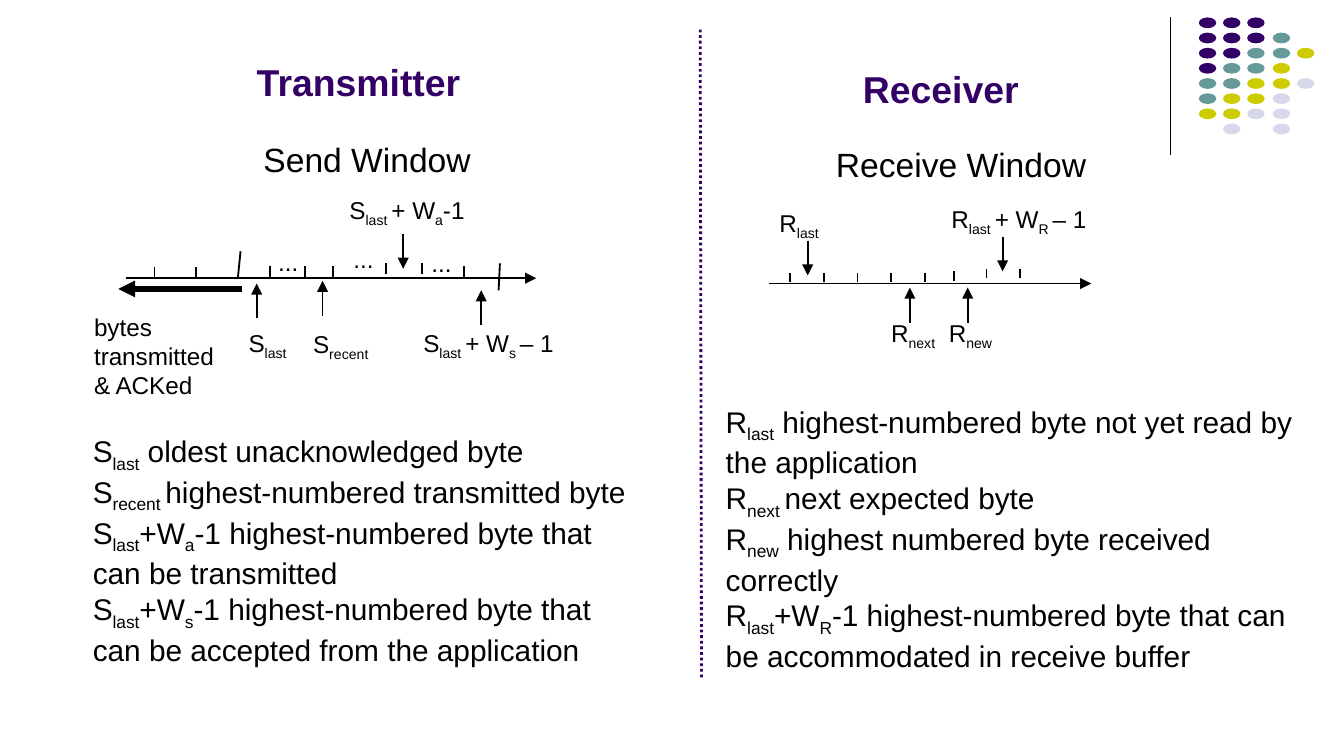
from typing import NamedTuple, Optional

from pptx import Presentation
from pptx.dml.color import RGBColor
from pptx.enum.dml import MSO_LINE
from pptx.enum.shapes import MSO_CONNECTOR, MSO_SHAPE
from pptx.enum.text import MSO_AUTO_SIZE
from pptx.oxml.ns import qn
from pptx.oxml.xmlchemy import OxmlElement
from pptx.slide import Slide
from pptx.util import Inches, Pt

SLIDE_WIDTH = 10
SLIDE_HEIGHT = SLIDE_WIDTH * 9 / 16
BLACK = "000000"
PURPLE = "330066"
DOT_COLORS = {"P": PURPLE, "T": "669999", "Y": "CCCC00", "L": "D8D8EC"}
DOT_ROWS = ["PPP", "PPPT", "PPTTY", "PTTY", "TTYYL", "TYYL", "YYLL", " L L"]
DOT_LEFTS = [8.92, 9.1, 9.28, 9.47, 9.65]
DOT_TOP, LAST_DOT_TOP = 0.13, 0.92


class Line(NamedTuple):
    x1: float
    y1: float
    x2: float
    y2: float
    width: float = 1
    color: str = BLACK
    arrow: bool = False
    dash: Optional[MSO_LINE] = None


class Label(NamedTuple):
    """Text whose subscripts stand between vertical bars, a paragraph per line."""
    left: float
    top: float
    width: float
    height: float
    text: str
    size: float = 13
    color: str = BLACK
    bold: bool = False
    wrap: bool = False


class Mark(NamedTuple):
    x: float
    top: float


FRAME_LINES = [
    Line(8.71, 0.13, 8.71, 1.15, width=0.75),
    Line(5.21, 0.22, 5.22, 5.04, 1.5, PURPLE, dash=MSO_LINE.ROUND_DOT),
]
AXES = [
    Line(0.94, 2.07, 3.99, 2.07, arrow=True),
    Line(5.72, 2.11, 8.12, 2.11, arrow=True),
    Line(1.8, 2.15, 0.88, 2.15, width=3, arrow=True),
]
WINDOW_EDGES = [Line(1.79, 1.87, 1.77, 2.07), Line(3.72, 1.96, 3.71, 2.16)]

SEND_TICKS = [
    Mark(1.15, 1.99), Mark(1.46, 1.99), Mark(2.01, 1.98), Mark(2.27, 1.98),
    Mark(2.48, 1.98), Mark(2.87, 1.96), Mark(3.14, 1.96), Mark(3.45, 1.98),
]
RECEIVE_TICKS = [Mark(5.88 + 0.25 * step, 2.03) for step in range(5)] + [
    Mark(7.1, 2.02), Mark(7.34, 2), Mark(7.59, 2),
]
POINTER_LENGTH = 0.26
UP_POINTERS = [Mark(1.91, 2.11), Mark(2.4, 2.09), Mark(3.58, 2.16),
               Mark(6.77, 2.14), Mark(7.2, 2.14)]
DOWN_POINTERS = [Mark(3, 1.74), Mark(6.01, 1.79), Mark(7.46, 1.76)]

SEND_NOTES = """S|last| oldest unacknowledged byte
S|recent |highest-numbered transmitted byte
S|last|+W|a|-1 highest-numbered byte that can be transmitted
S|last|+W|s|-1 highest-numbered byte that can be accepted from the application"""
RECEIVE_NOTES = """R|last| highest-numbered byte not yet read by the application
R|next |next expected byte
R|new| highest numbered byte received correctly
R|last|+W|R|-1 highest-numbered byte that can be accommodated in receive buffer"""

LABELS = [
    Label(1.84, 0.4, 1.68, 0.41, "Transmitter", 20, PURPLE, bold=True),
    Label(1.89, 0.99, 1.69, 0.37, "Send Window", 18),
    Label(2.53, 1.41, 1.01, 0.32, "S|last |+ W|a|-1"),
    Label(2, 1.8, 0.3, 0.29, "..."),
    Label(2.56, 1.78, 0.3, 0.29, "..."),
    Label(3.14, 1.81, 0.3, 0.29, "..."),
    Label(1.78, 2.4, 0.43, 0.32, "S|last"),
    Label(2.26, 2.41, 0.56, 0.32, "S|recent"),
    Label(3.08, 2.4, 1.17, 0.32, "S|last |+ W|s |– 1"),
    Label(0.63, 2.28, 1.23, 0.72, "bytes\ntransmitted\n& ACKed", wrap=True),
    Label(0.62, 3.18, 4.25, 1.82, SEND_NOTES, 16, wrap=True),
    Label(6.35, 0.45, 1.31, 0.41, "Receiver", 20, PURPLE, bold=True),
    Label(6.15, 1.03, 2.01, 0.37, "Receive Window", 18),
    Label(5.73, 1.51, 0.44, 0.32, "R|last"),
    Label(7.01, 1.48, 1.2, 0.32, "R|last |+ W|R |– 1"),
    Label(6.56, 2.33, 0.48, 0.32, "R|next"),
    Label(6.99, 2.33, 0.47, 0.32, "R|new"),
    Label(5.33, 2.96, 4.46, 2.09, RECEIVE_NOTES, 16, wrap=True),
]


def rgb(color: str) -> RGBColor:
    return RGBColor.from_string(color)


def draw_line(page: Slide, line: Line) -> None:
    connector = page.shapes.add_connector(
        MSO_CONNECTOR.STRAIGHT, Inches(line.x1), Inches(line.y1),
        Inches(line.x2), Inches(line.y2))
    connector.line.color.rgb = rgb(line.color)
    connector.line.width = Pt(line.width)
    if line.dash is not None:
        connector.line.dash_style = line.dash
    properties = connector.element.spPr
    if line.arrow:
        arrowhead = OxmlElement("a:tailEnd")
        arrowhead.set("type", "triangle")
        properties.find(qn("a:ln")).append(arrowhead)
    properties.append(OxmlElement("a:effectLst"))


def draw_label(page: Slide, label: Label) -> None:
    box = page.shapes.add_textbox(Inches(label.left), Inches(label.top),
                                  Inches(label.width), Inches(label.height))
    frame = box.text_frame
    frame.word_wrap = label.wrap
    frame.auto_size = MSO_AUTO_SIZE.SHAPE_TO_FIT_TEXT
    frame.margin_left = frame.margin_right = Inches(0.07)
    frame.margin_top = frame.margin_bottom = Inches(0.04)
    for row, text in enumerate(label.text.split("\n")):
        para = frame.add_paragraph() if row else frame.paragraphs[0]
        for part, words in enumerate(text.split("|")):
            span = para.add_run()
            span.text = words
            span.font.name = "Arial"
            span.font.size = Pt(label.size)
            span.font.bold = label.bold
            span.font.color.rgb = rgb(label.color)
            if part % 2:
                span._r.get_or_add_rPr().set("baseline", "-25000")


def draw_dots(page: Slide) -> None:
    row_step = (LAST_DOT_TOP - DOT_TOP) / (len(DOT_ROWS) - 1)
    for row, codes in enumerate(DOT_ROWS):
        for left, code in zip(DOT_LEFTS, codes):
            if code == " ":
                continue
            dot = page.shapes.add_shape(
                MSO_SHAPE.OVAL, Inches(left), Inches(DOT_TOP + row_step * row),
                Inches(0.13), Inches(0.08))
            dot.shadow.inherit = False
            dot.fill.solid()
            dot.fill.fore_color.rgb = rgb(DOT_COLORS[code])
            dot.line.fill.background()


def main() -> None:
    deck = Presentation()
    deck.slide_width = Inches(SLIDE_WIDTH)
    deck.slide_height = Inches(SLIDE_HEIGHT)
    page = deck.slides.add_slide(deck.slide_layouts[6])

    draw_dots(page)
    for line in FRAME_LINES + AXES + WINDOW_EDGES:
        draw_line(page, line)
    for ticks, height in ((SEND_TICKS, 0.08), (RECEIVE_TICKS, 0.07)):
        for x, top in ticks:
            draw_line(page, Line(x, top, x, top + height))
    for x, top in UP_POINTERS:
        draw_line(page, Line(x, top + POINTER_LENGTH, x, top, arrow=True))
    for x, top in DOWN_POINTERS:
        draw_line(page, Line(x, top, x, top + POINTER_LENGTH, arrow=True))
    for label in LABELS:
        draw_label(page, label)
    deck.save("out.pptx")


if __name__ == "__main__":
    main()
